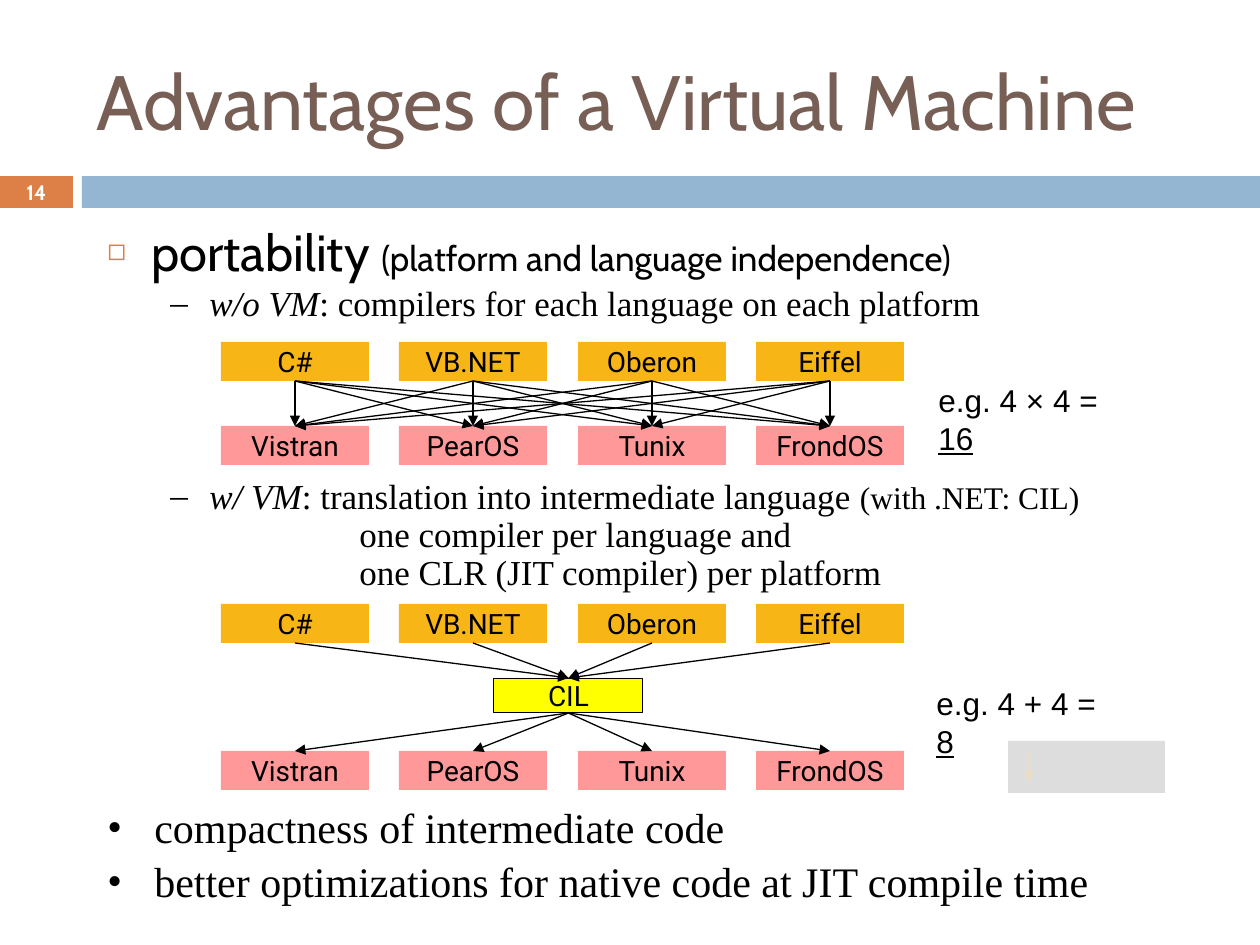
from dataclasses import dataclass

from lxml import etree
from pptx import Presentation
from pptx.dml.color import RGBColor
from pptx.enum.shapes import MSO_CONNECTOR, MSO_SHAPE
from pptx.enum.text import MSO_ANCHOR, MSO_AUTO_SIZE, PP_ALIGN
from pptx.oxml.ns import qn
from pptx.util import Pt

RECTANGLE = MSO_SHAPE.RECTANGLE
STRAIGHT = MSO_CONNECTOR.STRAIGHT
MIDDLE = MSO_ANCHOR.MIDDLE
LEFT, CENTER = PP_ALIGN.LEFT, PP_ALIGN.CENTER
NO_AUTOFIT = MSO_AUTO_SIZE.NONE
BOTTOM_SITE, TOP_SITE = 2, 0
SCALE = 914400 / 126


@dataclass(frozen=True)
class Theme:
    ink: str = "000000"
    white: str = "FFFFFF"
    title: str = "775F55"
    orange: str = "DD8047"
    blue: str = "94B6D2"
    language: str = "F7B615"
    platform: str = "FF9999"
    intermediate: str = "FFFF00"
    legend: str = "DDDDDD"
    faint: str = "EBDDC3"
    heading_font: str = "Cabin"
    label_font: str = "Roboto"
    serif: str = "Times New Roman"
    sans: str = "Arial"
    title_size: int = 44
    lead_size: int = 29
    point_size: int = 24
    detail_size: int = 20
    note_size: int = 18
    label_size: int = 16
    small_size: int = 12


theme = Theme()


def px(*lengths):
    """Turn px lengths into a list of EMU."""
    return [round(length * SCALE) for length in lengths]


def style(span, size, font, color=theme.ink):
    span.font.size = Pt(size)
    span.font.name = font
    span.font.color.rgb = RGBColor.from_string(color)


deck = Presentation()
deck.slide_width, deck.slide_height = px(1260, 945)
page = deck.slides.add_slide(deck.slide_layouts[5])

# Title and header band
title = page.shapes.title
title.left, title.top, title.width, title.height = px(84, 32, 1124, 136)
title.text_frame.text = "Advantages of a Virtual Machine"
title.text_frame.vertical_anchor = MIDDLE
title.text_frame.auto_size = NO_AUTOFIT
title.text_frame.paragraphs[0].alignment = LEFT
style(title.text_frame.paragraphs[0].runs[0], theme.title_size, theme.heading_font, theme.title)

# Plain boxes: left, top, width, height, fill, label, label size, font, label colour
label_style = (theme.label_size, theme.label_font, theme.ink)
boxes = [
    (0, 176, 73, 32, theme.orange, "14", theme.small_size, theme.heading_font, theme.white),
    (82, 176, 1178, 32, theme.blue, "", *label_style),
    (494, 678, 149, 35, theme.intermediate, "CIL", *label_style),
    (1008, 741, 157, 52, theme.legend, "", *label_style),
]

# Rows of four boxes, at equal steps
languages = ["C#", "VB.NET", "Oberon", "Eiffel"]
platforms = ["Vistran", "PearOS", "Tunix", "FrondOS"]
rows = [
    (342, theme.language, languages),
    (426, theme.platform, platforms),
    (604, theme.language, languages),
    (751, theme.platform, platforms),
]
for top, fill, names in rows:
    for column, name in enumerate(names):
        left = 221 + 357 * column // 2
        boxes.append((left, top, 148, 39, fill, name, *label_style))

drawn = []
for left, top, width, height, fill, label, size, font, color in boxes:
    box = page.shapes.add_shape(RECTANGLE, *px(left, top, width, height))
    box.shadow.inherit = False
    box.fill.solid()
    box.fill.fore_color.rgb = RGBColor.from_string(fill)
    box.line.fill.background()
    if label:
        box.text_frame.text = label
        box.text_frame.word_wrap = False
        box.text_frame.vertical_anchor = MIDDLE
        box.text_frame.paragraphs[0].alignment = CENTER
        style(box.text_frame.paragraphs[0].runs[0], size, font, color)
    drawn.append(box)

number, _, cil, _ = drawn[:4]
number.text_frame.paragraphs[0].runs[0].font.bold = True
cil.line.color.rgb = RGBColor.from_string(theme.ink)
cil.line.width = Pt(0.5)

# Arrows: every language to every platform, then both through CIL
direct_sources, direct_targets, cil_sources, cil_targets = (
    drawn[start:start + 4] for start in range(4, 20, 4)
)
pairs = [(source, target) for source in direct_sources for target in direct_targets]
pairs += [(source, cil) for source in cil_sources]
pairs += [(cil, target) for target in cil_targets]

arrows = []
for source, target in pairs:
    arrow = page.shapes.add_connector(STRAIGHT, 0, 0, 0, 0)
    arrow.begin_connect(source, BOTTOM_SITE)
    arrow.end_connect(target, TOP_SITE)
    arrows.append((arrow, theme.ink))
legend_arrow = page.shapes.add_connector(STRAIGHT, *px(1029, 751, 1029, 782))
arrows.append((legend_arrow, theme.faint))

for arrow, color in arrows:
    arrow.line.color.rgb = RGBColor.from_string(color)
    arrow.line.width = Pt(0.75)
    etree.SubElement(arrow.line._get_or_add_ln(), qn("a:tailEnd"), type="triangle")
    etree.SubElement(arrow._element.spPr, qn("a:effectLst"))

# Paragraph kinds: margin, indent, line spacing, space before, bullet, bullet font
lead = (44, -44, 0.8, 7, "◻", theme.heading_font)
point = (47, -47, 0.9, 5, "•", theme.serif)
detail = (102, -39, 0.9, 4, "–", theme.serif)
continuation = (252, 0, 0.9, 0, "", "")
plain = (0, 0, 1, 0, "", "")

# Span styles: size, font, italic, underline
lead_span = (theme.lead_size, theme.heading_font, False, False)
aside_span = (theme.detail_size, theme.heading_font, False, False)
point_span = (theme.point_size, theme.serif, False, False)
detail_span = (theme.detail_size, theme.serif, False, False)
term_span = (theme.detail_size, theme.serif, True, False)
remark_span = (theme.note_size, theme.serif, False, False)
note_span = (theme.note_size, theme.sans, False, False)
result_span = (theme.note_size, theme.sans, False, True)

texts = [
    ((95, 226, 1071, 63), [
        (lead, [("portability ", lead_span),
                ("(platform and language independence)", aside_span)]),
    ]),
    ((95, 280, 1071, 53), [
        (detail, [("w/o VM", term_span),
                  (": compilers for each language on each platform", detail_span)]),
    ]),
    ((95, 473, 1071, 168), [
        (detail, [("w/ VM", term_span),
                  (": translation into intermediate language ", detail_span),
                  ("(with .NET: CIL)", remark_span)]),
        (continuation, [("one compiler per language and", detail_span)]),
        (continuation, [("one CLR (JIT compiler) per platform", detail_span)]),
    ]),
    ((95, 801, 1071, 118), [
        (point, [("compactness of intermediate code", point_span)]),
        (point, [("better optimizations for native code at JIT compile time", point_span)]),
    ]),
    ((926, 375, 208, 50), [(plain, [("e.g. 4 × 4 = ", note_span), ("16", result_span)])]),
    ((924, 678, 193, 50), [(plain, [("e.g. 4 + 4 = ", note_span), ("8", result_span)])]),
]

for place, paragraphs in texts:
    frame = page.shapes.add_textbox(*px(*place)).text_frame
    frame.word_wrap = True
    for index, (kind, spans) in enumerate(paragraphs):
        para = frame.add_paragraph() if index else frame.paragraphs[0]
        margin, indent, spacing, before, bullet, bullet_font = kind
        para.line_spacing = spacing
        para.space_before = Pt(before)
        properties = para._p.get_or_add_pPr()
        margin_emu, indent_emu = px(margin, indent)
        properties.set("marL", str(margin_emu))
        properties.set("indent", str(indent_emu))
        if kind == lead:
            bullet_color = etree.SubElement(properties, qn("a:buClr"))
            etree.SubElement(bullet_color, qn("a:srgbClr"), val=theme.orange)
            etree.SubElement(properties, qn("a:buSzPct"), val="60000")
        if bullet:
            etree.SubElement(properties, qn("a:buFont"), typeface=bullet_font)
            etree.SubElement(properties, qn("a:buChar"), char=bullet)
        for words, (size, font, italic, underline) in spans:
            span = para.add_run()
            span.text = words
            style(span, size, font)
            span.font.italic = italic
            span.font.underline = underline

deck.save("out.pptx")
